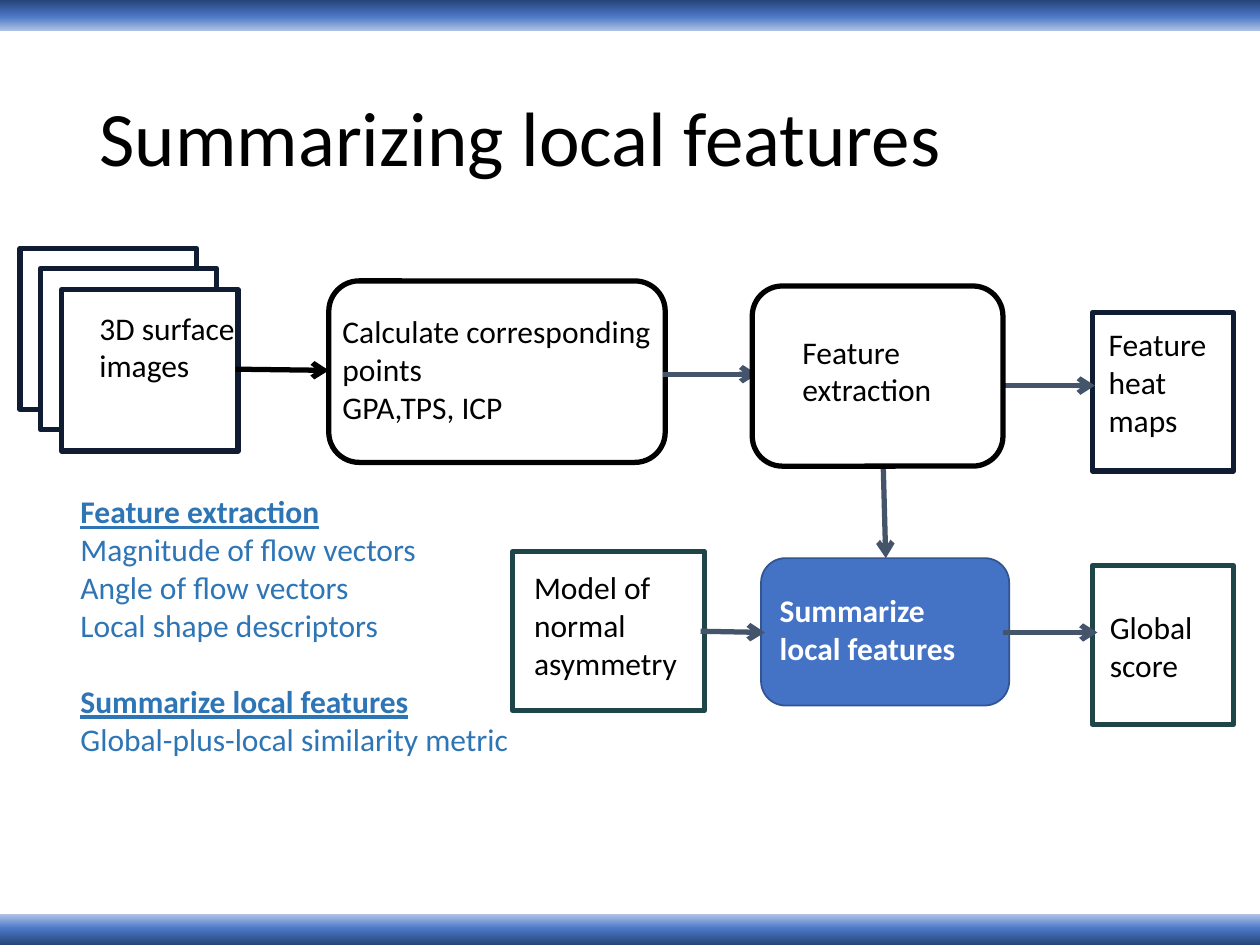
from copy import deepcopy
from dataclasses import dataclass

from pptx import Presentation
from pptx.dml.color import RGBColor
from pptx.enum.shapes import MSO_CONNECTOR, MSO_SHAPE
from pptx.enum.text import MSO_ANCHOR, MSO_AUTO_SIZE, PP_ALIGN
from pptx.oxml.ns import qn
from pptx.util import Pt
from lxml import etree

RECT = MSO_SHAPE.RECTANGLE
ROUNDED = MSO_SHAPE.ROUNDED_RECTANGLE
STRAIGHT = MSO_CONNECTOR.STRAIGHT
MIDDLE = MSO_ANCHOR.MIDDLE
LEFT = PP_ALIGN.LEFT
GROW = MSO_AUTO_SIZE.SHAPE_TO_FIT_TEXT

EMU_PER_PX = 9144
TITLE_ONLY = 5


@dataclass(frozen=True)
class Theme:
    font: str = "Calibri"
    title_size: int = 44
    body_size: int = 18
    outline: int = 3
    black: str = "000000"
    white: str = "FFFFFF"
    navy: str = "101C32"
    teal: str = "1E4649"
    slate: str = "44546A"
    accent: str = "4472C4"
    accent_edge: str = "325491"
    note: str = "2E75B6"
    band: tuple = ((0, "B4C7E7"), (0.46, "4D79C7"), (1, "264478"))


def px(*values):
    return [value * EMU_PER_PX for value in values]


def rgb(value):
    return RGBColor.from_string(value)


class SlideBuilder:
    def __init__(self, slide, theme):
        self.slide = slide
        self.theme = theme

    def style(self, para, size, color, bold=False, underline=False):
        font = para.font
        font.name = self.theme.font
        font.size = Pt(size)
        font.bold = bold
        font.underline = underline
        font.color.rgb = rgb(color)

    def title(self, text, *bounds):
        box = self.slide.shapes.title
        box.left, box.top, box.width, box.height = px(*bounds)
        box.text_frame.text = text
        box.text_frame.vertical_anchor = MIDDLE
        para = box.text_frame.paragraphs[0]
        para.alignment = LEFT
        para.line_spacing = 0.9
        self.style(para, self.theme.title_size, self.theme.black)

    def band(self, top, rotation):
        band = self.slide.shapes.add_shape(RECT, *px(0, top, 1000, 25))
        band.shadow.inherit = False
        band.rotation = rotation
        band.line.fill.background()
        band.fill.gradient()
        band.fill.gradient_angle = 90
        stop_list = band._element.spPr.find(".//" + qn("a:gsLst"))
        stop_list.append(deepcopy(stop_list[0]))
        for stop, (position, color) in zip(band.fill.gradient_stops, self.theme.band):
            stop.position = position
            stop.color.rgb = rgb(color)

    def block(self, kind, bounds, edge, fill=None, weight=None):
        block = self.slide.shapes.add_shape(kind, *px(*bounds))
        block.shadow.inherit = False
        block.fill.solid()
        block.fill.fore_color.rgb = rgb(fill or self.theme.white)
        block.line.color.rgb = rgb(edge)
        block.line.width = Pt(weight or self.theme.outline)

    def text(self, lines, bounds, color=None, bold=False, headings=()):
        box = self.slide.shapes.add_textbox(*px(*bounds))
        frame = box.text_frame
        frame.word_wrap = True
        frame.auto_size = GROW
        for index, line in enumerate(lines):
            para = frame.add_paragraph() if index else frame.paragraphs[0]
            para.text = line
            heading = line in headings
            if heading and index:
                para.space_before = Pt(22)
            self.style(para, self.theme.body_size, color or self.theme.black,
                       bold or heading, heading)

    def arrow(self, start, end, color=None):
        arrow = self.slide.shapes.add_connector(STRAIGHT, *px(*start, *end))
        arrow.line.color.rgb = rgb(color or self.theme.slate)
        arrow.line.width = Pt(self.theme.outline)
        etree.SubElement(arrow.line._get_or_add_ln(), qn("a:tailEnd"), type="arrow")
        etree.SubElement(arrow._element.spPr, qn("a:effectLst"))


def main():
    deck = Presentation()
    deck.slide_width, deck.slide_height = px(1000, 750)
    theme = Theme()
    slide = deck.slides.add_slide(deck.slide_layouts[TITLE_ONLY])
    page = SlideBuilder(slide, theme)

    page.band(0, 0)
    page.band(725, 180)
    page.title("Summarizing local features", 69, 40, 862, 145)

    page.block(RECT, (867, 449, 112, 126), theme.teal)
    page.block(RECT, (867, 248, 112, 126), theme.navy)
    for offset in (0, 16, 33):
        page.block(RECT, (16 + offset, 197 + offset, 140, 128), theme.navy)
    page.text(["3D surface images"], (69, 240, 138, 101))
    page.arrow((187, 293), (261, 294), theme.black)

    page.block(ROUNDED, (261, 223, 267, 144), theme.black)
    page.arrow((526, 297), (601, 297))
    page.text(["Calculate corresponding points", "GPA,TPS, ICP"], (262, 243, 283, 101))

    page.arrow((701, 370), (703, 443))
    page.block(ROUNDED, (604, 443, 197, 117), theme.accent_edge, theme.accent, 1)
    page.arrow((793, 306), (869, 306))
    page.text(["Summarize", "local features"], (609, 464, 194, 71), theme.white, bold=True)

    page.text(["Feature heat maps"], (870, 253, 121, 101))
    page.text(["Global score"], (871, 478, 108, 71))
    page.arrow((796, 502), (871, 502))

    headings = ("Feature extraction", "Summarize local features")
    page.text(
        [headings[0], "Magnitude of flow vectors", "Angle of flow vectors",
         "Local shape descriptors", headings[1], "Global-plus-local similarity metric"],
        (54, 386, 371, 283), theme.note, headings=headings)

    page.block(ROUNDED, (597, 227, 199, 143), theme.black)
    page.text(["Feature", "extraction"], (627, 259, 154, 71))
    page.block(RECT, (407, 438, 152, 126), theme.teal)
    page.text(["Model of normal asymmetry"], (414, 446, 148, 101))
    page.arrow((556, 501), (607, 502))

    deck.save("out.pptx")


if __name__ == "__main__":
    main()
